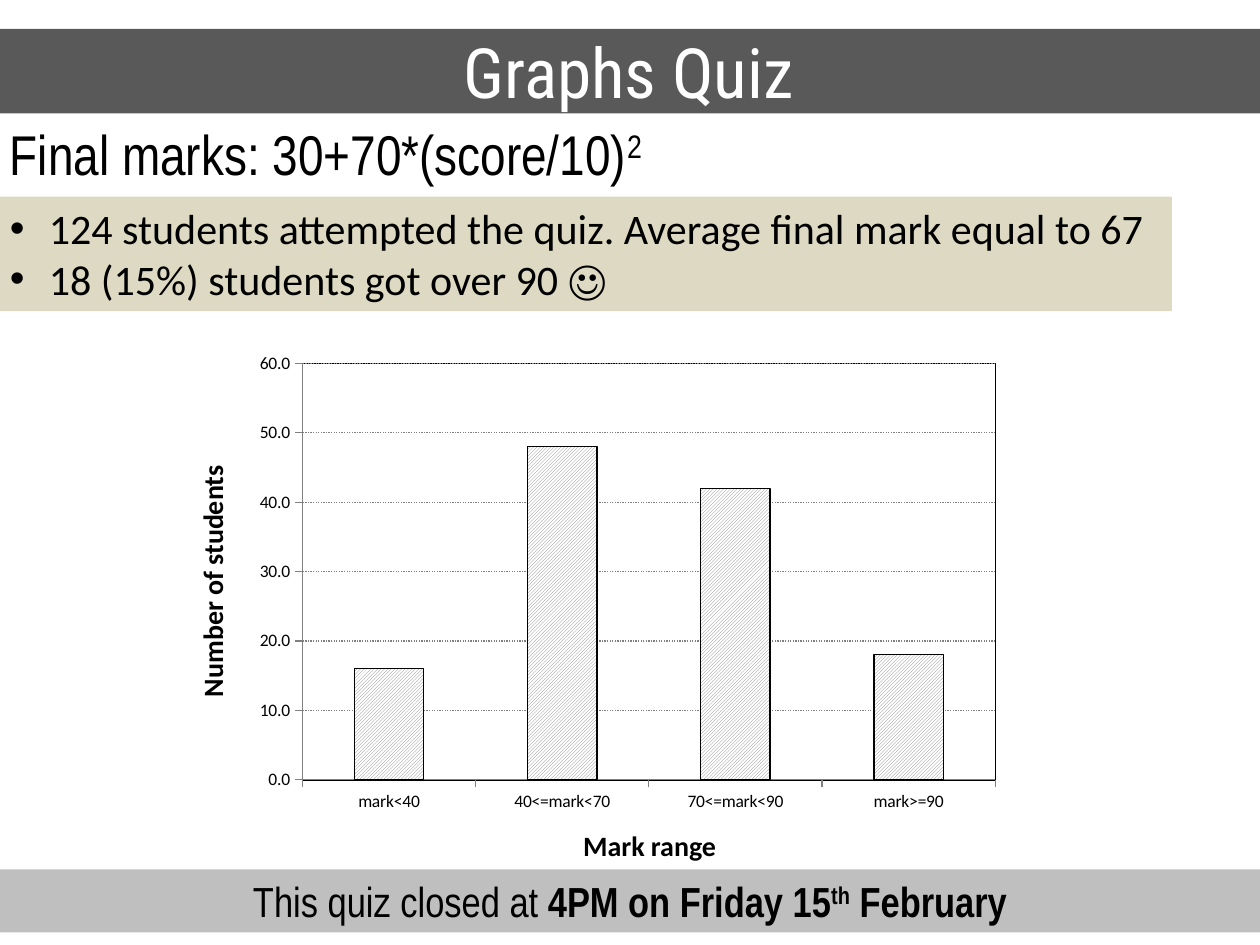
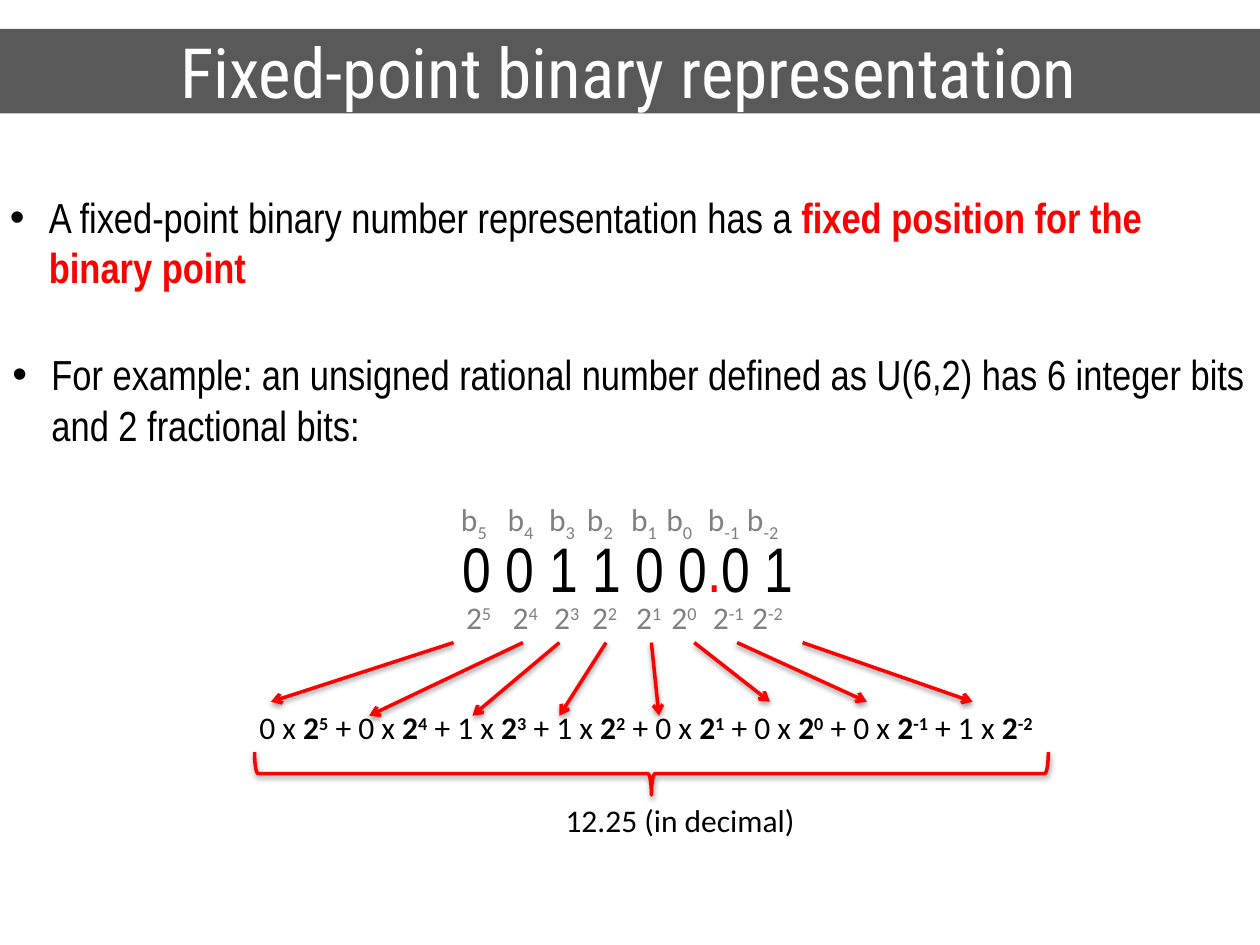
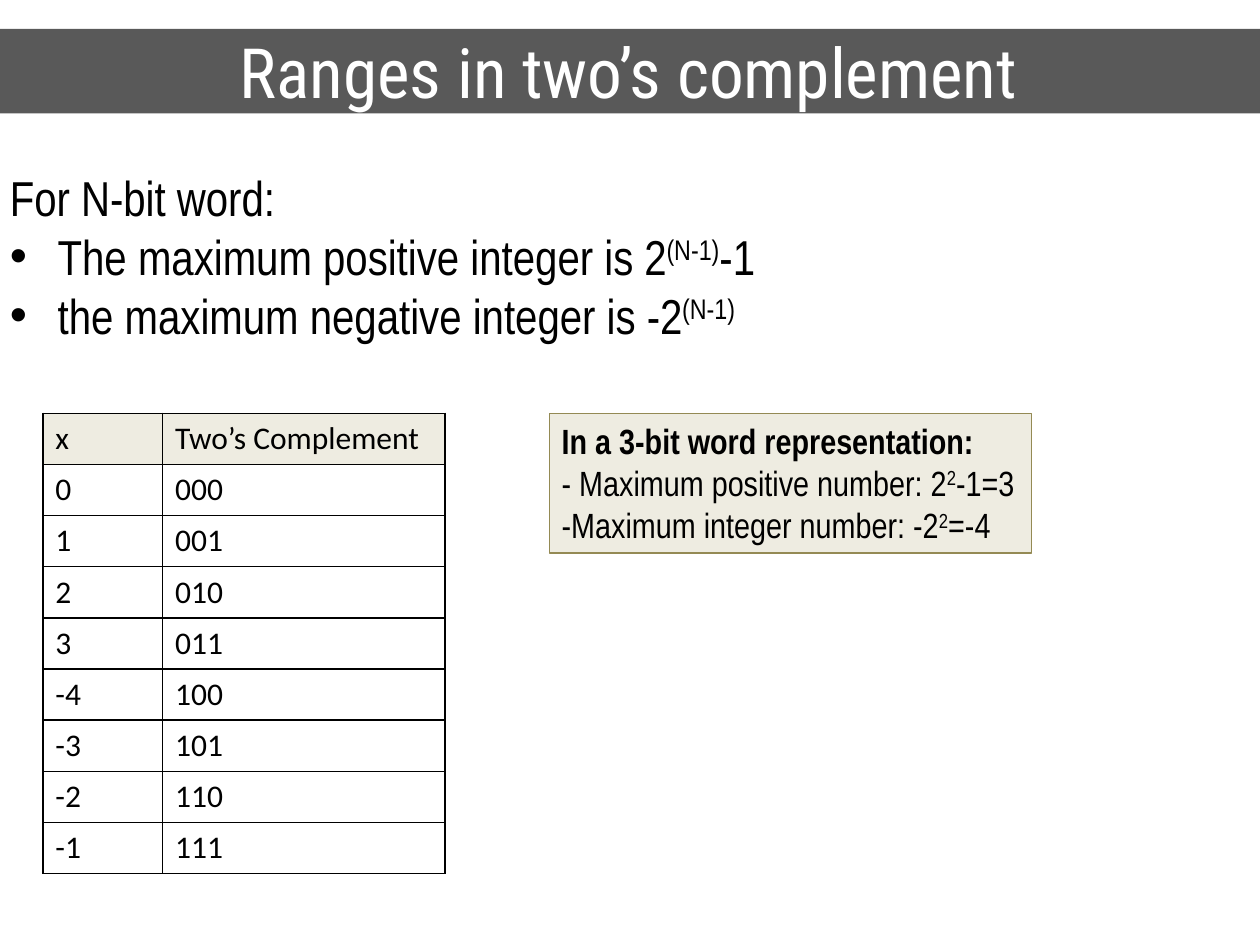
from dataclasses import dataclass

from lxml.etree import SubElement
from pptx import Presentation
from pptx.chart.data import CategoryChartData
from pptx.dml.color import RGBColor
from pptx.enum.chart import XL_CHART_TYPE, XL_TICK_MARK
from pptx.enum.dml import MSO_LINE, MSO_PATTERN
from pptx.enum.shapes import MSO_CONNECTOR, MSO_SHAPE
from pptx.enum.text import MSO_ANCHOR, PP_ALIGN
from pptx.oxml import parse_xml
from pptx.oxml.ns import nsdecls, qn
from pptx.util import Emu, Inches, Pt


@dataclass(frozen=True)
class Theme:
    title_font: str = "Roboto Condensed"
    narrow: str = "Arial Narrow"
    body: str = "Calibri"
    white: str = "FFFFFF"
    black: str = "000000"
    gray: str = "808080"
    red: str = "FF0000"
    title_fill: str = "595959"
    tan: str = "DDD9C3"
    cream: str = "EEECE1"
    olive: str = "948A54"
    footer_fill: str = "BFBFBF"
    title: float = 39.6
    formula: float = 32
    digits: float = 36
    large: float = 28
    text: float = 24
    note: float = 20
    small: float = 18
    axis_title: float = 16
    chart: float = 10


THEME = Theme()
WIDTH, HEIGHT = 10, 7.5
EDGE = -0.02
BASELINES = {"^": "30000", "_": "-25000"}

# A paragraph is a list of (text, marks): b bold, r red, ^ superscript, _ subscript.
FORMULA = [[("Final marks: 30+70*(score/10)", ""), ("2", "^")]]
RESULTS = [
    [("124 students attempted the quiz. Average final mark equal to 67", "")],
    [("18 (15%) students got over 90 ☺", "")],
]
CLOSING = [[("This quiz closed at ", ""), ("4PM on Friday 15", "b"),
            ("th", "b^"), (" February", "b")]]
MARKS = {"mark<40": 16, "40<=mark<70": 48, "70<=mark<90": 42, "mark>=90": 18}

DEFINITION = [[("A fixed-point binary number representation has a ", ""),
               ("fixed position for the binary point", "br")]]
EXAMPLE = [[("For example: an unsigned rational number defined as U(6,2) has "
             "6 integer bits and 2 fractional bits:", "")]]
INTEGER_BITS, FRACTION_BITS = "001100", "01"
BIT_TABS = (0.37, 0.7, 1, 1.35, 1.63, 1.96, 2.27)
ARROW_TOP, TERM_TOP, TERM_DEEP = 5.1, 5.57, 5.68
ARROWS = [  # start x, end x, end y
    (3.6, 2.15, TERM_TOP), (4.15, 2.93, TERM_DEEP),
    (4.44, 3.75, TERM_DEEP), (4.81, 4.44, TERM_DEEP),
    (5.17, 5.23, TERM_DEEP), (5.51, 6.11, TERM_TOP),
    (5.85, 6.88, TERM_TOP), (6.37, 7.72, TERM_TOP),
]

RANGES = [
    [("For N-bit word:", "")],
    [("The maximum positive integer is 2", ""), ("(N-1)", "^"), ("-1", "")],
    [("the maximum negative integer is -2", ""), ("(N-1)", "^")],
]
THREE_BITS = [
    [("In a 3-bit word representation:", "b")],
    [("- Maximum positive number: 2", ""), ("2", "^"), ("-1=3", "")],
    [("-Maximum integer number: -2", ""), ("2", "^"), ("=-4", "")],
]
COMPLEMENTS = [("x", "Two’s Complement")] + [
    (str(x), format(x % 8, "03b")) for x in (0, 1, 2, 3, -4, -3, -2, -1)]
COLUMN_WIDTHS, ROW_HEIGHT = (0.95, 2.24), 0.406


def rgb(code):
    return RGBColor.from_string(code)


def style(font, name, size, color=THEME.black, bold=False):
    font.name, font.size, font.bold = name, Pt(size), bold
    font.color.rgb = rgb(color)


def write(shape, paragraphs, name, size, color=THEME.black, align=PP_ALIGN.LEFT,
          wrap=False, hang=0, first_bullet=0, tabs=()):
    """Fill a shape with marked runs; hang is the bullet indent in inches."""
    frame = shape.text_frame
    frame.word_wrap = wrap
    frame.vertical_anchor = MSO_ANCHOR.TOP
    for index, runs in enumerate(paragraphs):
        para = frame.add_paragraph() if index else frame.paragraphs[0]
        para.alignment = align
        for text, marks in runs:
            span = para.add_run()
            span.text = text
            style(span.font, name, size, THEME.red if "r" in marks else color, "b" in marks)
            for mark in marks:
                if mark in BASELINES:
                    span.font._element.set("baseline", BASELINES[mark])
        properties = para._p.get_or_add_pPr()
        if hang and index >= first_bullet:
            properties.set("marL", str(Inches(hang)))
            properties.set("indent", str(-Inches(hang)))
            SubElement(properties, qn("a:buFont"), typeface="Arial")
            SubElement(properties, qn("a:buChar"), char="•")
        if tabs:
            stops = SubElement(properties, qn("a:tabLst"))
            for stop in tabs:
                SubElement(stops, qn("a:tab"), pos=str(Inches(stop)), algn="l")


def add_text(slide, place, paragraphs, name, size, **options):
    box = slide.shapes.add_textbox(*map(Inches, place))
    write(box, paragraphs, name, size, **options)
    return box


def add_panel(slide, place, fill, line=None):
    panel = slide.shapes.add_shape(MSO_SHAPE.RECTANGLE, *map(Inches, place))
    panel.shadow.inherit = False
    panel.fill.solid()
    panel.fill.fore_color.rgb = rgb(fill)
    if line:
        panel.line.color.rgb = rgb(line)
        panel.line.width = Pt(0.75)
    else:
        panel.line.fill.background()
    return panel


def add_titled_slide(deck, title):
    slide = deck.slides.add_slide(deck.slide_layouts[6])
    band = add_panel(slide, (EDGE, 0.23, WIDTH - EDGE, 0.67), THEME.title_fill)
    write(band, [[(title, "")]], THEME.title_font, THEME.title,
          color=THEME.white, align=PP_ALIGN.CENTER, wrap=True)
    band.text_frame.vertical_anchor = MSO_ANCHOR.MIDDLE
    return slide


def draw_red(shape):
    """Give a connector or brace its red line and soft shadow."""
    shape.line.color.rgb = rgb(THEME.red)
    shape.line.width = Pt(2)
    shape._element.spPr.append(parse_xml(
        f'<a:effectLst {nsdecls("a")}><a:outerShdw blurRad="{Pt(3.1)}" dist="{Pt(1.6)}" '
        f'dir="5400000" rotWithShape="0"><a:srgbClr val="{THEME.black}">'
        '<a:alpha val="38000"/></a:srgbClr></a:outerShdw></a:effectLst>'))


def add_marks_chart(slide):
    data = CategoryChartData(number_format="0.0")
    data.categories = list(MARKS)
    data.add_series("Series 1", list(MARKS.values()))
    place = map(Inches, (1.94, 2.73, 6.08, 3.79))
    chart = slide.shapes.add_chart(XL_CHART_TYPE.COLUMN_CLUSTERED, *place, data).chart
    chart.has_legend = chart.has_title = False
    style(chart.font, THEME.body, THEME.chart)
    plot = chart.plots[0]
    plot.gap_width = 150
    plot.vary_by_categories = False
    bars = plot.series[0].format
    bars.fill.patterned()
    bars.fill.pattern = MSO_PATTERN.LIGHT_UPWARD_DIAGONAL
    bars.fill.fore_color.rgb = rgb(THEME.gray)
    bars.fill.back_color.rgb = rgb(THEME.white)
    bars.line.color.rgb = rgb(THEME.black)
    bars.line.width = Pt(0.75)
    values = chart.value_axis
    values.minimum_scale, values.maximum_scale, values.major_unit = 0, 60, 10
    values.tick_labels.number_format = "0.0"
    values.tick_labels.number_format_is_linked = False
    grid = values.major_gridlines.format.line
    grid.dash_style = MSO_LINE.ROUND_DOT
    for axis in (values, chart.category_axis):
        axis.major_tick_mark = XL_TICK_MARK.OUTSIDE
    for line in (grid, values.format.line, chart.category_axis.format.line):
        line.color.rgb = rgb(THEME.gray)
        line.width = Pt(0.75)
    chart._chartSpace.chart.plotArea.append(parse_xml(
        f'<c:spPr {nsdecls("c", "a")}><a:noFill/><a:ln w="{Pt(0.75)}"><a:solidFill>'
        f'<a:srgbClr val="{THEME.black}"/></a:solidFill></a:ln></c:spPr>'))


def build_quiz(deck):
    slide = add_titled_slide(deck, "Graphs Quiz")
    add_text(slide, (EDGE, 0.9, 5.28, 0.64), FORMULA, THEME.narrow, THEME.formula)
    results = add_panel(slide, (EDGE, 1.56, 9.32, 0.91), THEME.tan)
    write(results, RESULTS, THEME.body, THEME.text, wrap=True, hang=0.31)
    footer = add_panel(slide, (0, 0.92 * HEIGHT, WIDTH, 0.5), THEME.footer_fill)
    write(footer, CLOSING, THEME.narrow, THEME.text, align=PP_ALIGN.CENTER, wrap=True)
    add_marks_chart(slide)
    for place, label, turn in (((0.65, 4.41, 2.07, 0.37), "Number of students", 270),
                               ((4.53, 6.53, 1.28, 0.37), "Mark range", 0)):
        box = add_text(slide, place, [[(label, "b")]], THEME.body, THEME.axis_title)
        box.rotation = turn


def build_fixed_point(deck):
    slide = add_titled_slide(deck, "Fixed-point binary representation")
    for place, paragraphs in (((EDGE, 1.47, WIDTH - EDGE, 0.91), DEFINITION),
                              ((0, 2.72, WIDTH - EDGE, 0.91), EXAMPLE)):
        add_text(slide, place, paragraphs, THEME.narrow, THEME.text, wrap=True, hang=0.31)

    number = [(" ".join(INTEGER_BITS), ""), (".", "r"), (" ".join(FRACTION_BITS), "")]
    add_text(slide, (3.56, 4.15, 2.85, 0.71), [number], THEME.narrow, THEME.digits,
             align=PP_ALIGN.CENTER)
    names, weights, terms = [], [], []
    highest = len(INTEGER_BITS) - 1
    for index, bit in enumerate(INTEGER_BITS + FRACTION_BITS):
        power = str(highest - index)
        tab, plus = ("\t", " + ") if index else ("", "")
        names += [(tab + "b", ""), (power, "_")]
        weights += [(tab + "2", ""), (power, "^")]
        terms += [(f"{plus}{bit} x ", ""), ("2", "b"), (power, "b^")]
    for place, runs in (((3.56, 3.92, 2.89, 0.4), names), ((3.6, 4.7, 2.85, 0.4), weights)):
        add_text(slide, place, [runs], THEME.body, THEME.small, color=THEME.gray,
                 wrap=True, tabs=BIT_TABS)
    add_text(slide, (1.96, TERM_TOP, 6.55, 0.4), [terms], THEME.body, THEME.small)

    for start, end, bottom in ARROWS:
        points = map(Inches, (start, ARROW_TOP, end, bottom))
        arrow = slide.shapes.add_connector(MSO_CONNECTOR.STRAIGHT, *points)
        draw_red(arrow)
        SubElement(arrow.line._get_or_add_ln(), qn("a:tailEnd"), type="arrow")
    brace = slide.shapes.add_shape(MSO_SHAPE.RIGHT_BRACE, *map(Inches, (5, 2.99, 0.34, 6.3)))
    brace.rotation = 90
    brace.fill.background()
    draw_red(brace)
    add_text(slide, (4.39, 6.31, 2.04, 0.4), [[("12.25 (in decimal)", "")]],
             THEME.body, THEME.small)


def outline(cell):
    properties = cell._tc.get_or_add_tcPr()
    for index, side in enumerate(("lnL", "lnR", "lnT", "lnB")):
        properties.insert(index, parse_xml(
            f'<a:{side} {nsdecls("a")} w="{Pt(1)}"><a:solidFill>'
            f'<a:srgbClr val="{THEME.black}"/></a:solidFill></a:{side}>'))


def add_complement_table(slide):
    size = sum(COLUMN_WIDTHS), ROW_HEIGHT * len(COMPLEMENTS)
    table = slide.shapes.add_table(len(COMPLEMENTS), len(COLUMN_WIDTHS),
                                   *map(Inches, (0.34, 3.28, *size))).table
    table.first_row = table.horz_banding = False
    for column, width in zip(table.columns, COLUMN_WIDTHS):
        column.width = Inches(width)
    for row, entries in enumerate(COMPLEMENTS):
        table.rows[row].height = Emu(Inches(ROW_HEIGHT))
        for column, entry in enumerate(entries):
            cell = table.cell(row, column)
            cell.text_frame.text = entry
            style(cell.text_frame.paragraphs[0].runs[0].font, THEME.body, THEME.small)
            if row:
                cell.fill.background()
            else:
                cell.fill.solid()
                cell.fill.fore_color.rgb = rgb(THEME.cream)
            outline(cell)


def build_ranges(deck):
    slide = add_titled_slide(deck, "Ranges in two’s complement")
    add_text(slide, (EDGE, 1.28, 6.27, 1.51), RANGES, THEME.narrow, THEME.large,
             hang=0.38, first_bullet=1)
    add_complement_table(slide)
    note = add_panel(slide, (4.36, 3.28, 3.83, 1.11), THEME.cream, THEME.olive)
    write(note, THREE_BITS, THEME.narrow, THEME.note)


def main():
    deck = Presentation()
    deck.slide_width, deck.slide_height = Inches(WIDTH), Inches(HEIGHT)
    build_quiz(deck)
    build_fixed_point(deck)
    build_ranges(deck)
    deck.save("out.pptx")


if __name__ == "__main__":
    main()
